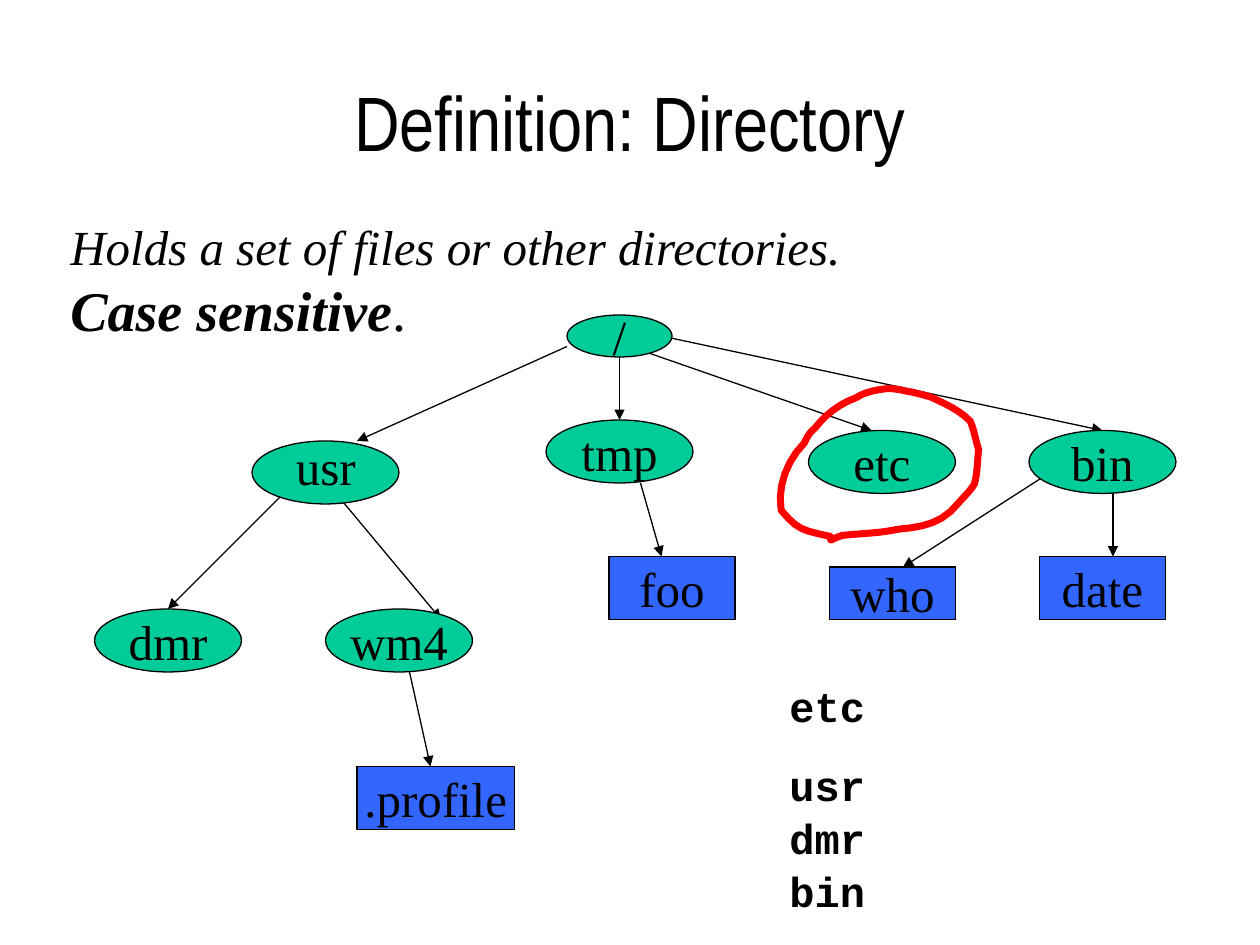
from dataclasses import dataclass
from typing import NamedTuple

from lxml import etree
from pptx import Presentation
from pptx.dml.color import RGBColor
from pptx.enum.shapes import MSO_CONNECTOR, MSO_SHAPE
from pptx.enum.text import MSO_ANCHOR, MSO_AUTO_SIZE, PP_ALIGN
from pptx.oxml.ns import qn
from pptx.util import Emu, Pt

STRAIGHT = MSO_CONNECTOR.STRAIGHT
OVAL, RECTANGLE = MSO_SHAPE.OVAL, MSO_SHAPE.RECTANGLE
TOP, MIDDLE = MSO_ANCHOR.TOP, MSO_ANCHOR.MIDDLE
LEFT, CENTER = PP_ALIGN.LEFT, PP_ALIGN.CENTER
NO_AUTOFIT = MSO_AUTO_SIZE.NONE
PX = 7620
CURVE_STEPS = 6


@dataclass(frozen=True)
class Theme:
    ink: RGBColor = RGBColor(0, 0, 0)
    directory: RGBColor = RGBColor(0x00, 0xCC, 0x99)
    file: RGBColor = RGBColor(0x33, 0x66, 0xFF)
    highlight: RGBColor = RGBColor(0xFF, 0, 0)
    title_font: str = "Arial Narrow"
    text_font: str = "Times New Roman"
    code_font: str = "Courier New"
    title_size: int = 44
    strong_size: int = 32
    text_size: int = 28
    code_size: int = 24
    thin: float = 0.75
    thick: float = 4


class Box(NamedTuple):
    left: int
    top: int
    width: int
    height: int


class Node(NamedTuple):
    label: str
    box: Box
    is_file: bool = False


class Edge(NamedTuple):
    start: tuple[int, int]
    end: tuple[int, int]
    child: str


THEME = Theme()
NODES = [
    Node("/", Box(540, 300, 100, 40)),
    Node("usr", Box(240, 420, 140, 60)),
    Node("tmp", Box(520, 400, 140, 60)),
    Node("etc", Box(770, 410, 140, 60)),
    Node("bin", Box(980, 410, 140, 60)),
    Node("dmr", Box(90, 580, 140, 60)),
    Node("wm4", Box(310, 580, 140, 60)),
    Node("foo", Box(580, 530, 120, 60), True),
    Node("who", Box(790, 540, 120, 50), True),
    Node("date", Box(990, 530, 120, 60), True),
    Node(".profile", Box(340, 730, 150, 60), True),
]
EDGES = [
    Edge((1000, 450), (860, 540), "who"),
    Edge((1060, 460), (1060, 530), "date"),
    Edge((600, 330), (830, 410), "etc"),
    Edge((630, 320), (1050, 410), "bin"),
    Edge((270, 470), (160, 580), "dmr"),
    Edge((320, 470), (420, 590), "wm4"),
    Edge((540, 330), (340, 420), "usr"),
    Edge((590, 340), (590, 400), "tmp"),
    Edge((610, 460), (630, 530), "foo"),
    Edge((390, 640), (410, 730), ".profile"),
]
LOOP_START = (791, 511)
LOOP_CURVES = [
    ((764, 505), (760, 505), (744, 486)),
    ((740, 463), (750, 438), (766, 422)),
    ((769, 416), (770, 413), (776, 408)),
    ((785, 396), (800, 384), (815, 379)),
    ((824, 373), (836, 371), (847, 370)),
    ((866, 372), (853, 371), (866, 373)),
    ((872, 374), (886, 378), (886, 378)),
    ((899, 384), (913, 390), (924, 401)),
    ((928, 410), (929, 419), (932, 428)),
    ((931, 438), (931, 451), (928, 461)),
    ((924, 468), (918, 473), (913, 479)),
    ((898, 498), (880, 502), (856, 504)),
    ((838, 508), (820, 508), (802, 510)),
    ((790, 514), (791, 517), (791, 511)),
]


def place(shape, box: Box) -> None:
    """Move and size a shape in px."""
    shape.left, shape.top, shape.width, shape.height = (Emu(v * PX) for v in box)


def write(paragraph, text: str, *, size=THEME.text_size, font=THEME.text_font,
          bold=False, italic=False, align=LEFT, before=0, line=1.0) -> None:
    """Append a formatted run to a paragraph."""
    paragraph.alignment = align
    paragraph.space_before = Pt(before)
    paragraph.line_spacing = line
    run = paragraph.add_run()
    run.text = text
    run.font.size, run.font.name = Pt(size), font
    run.font.bold, run.font.italic = bold, italic
    run.font.color.rgb = THEME.ink


def set_frame(shape, anchor=TOP, wrap=True):
    """Fix the text frame's behaviour and return it."""
    frame = shape.text_frame
    frame.auto_size, frame.word_wrap = NO_AUTOFIT, wrap
    frame.vertical_anchor = anchor
    return frame


def draw_edge(slide, edge: Edge):
    """Draw an arrow from a directory to its child."""
    ends = (Emu(v * PX) for v in edge.start + edge.end)
    arrow = slide.shapes.add_connector(STRAIGHT, *ends)
    arrow.line.color.rgb, arrow.line.width = THEME.ink, Pt(THEME.thin)
    etree.SubElement(arrow.line._get_or_add_ln(), qn("a:tailEnd"), type="triangle")
    etree.SubElement(arrow._element.spPr, qn("a:effectLst"))
    return arrow


def draw_node(slide, node: Node):
    """Draw a directory as an ellipse or a file as a rectangle."""
    kind, colour = (RECTANGLE, THEME.file) if node.is_file else (OVAL, THEME.directory)
    shape = slide.shapes.add_shape(kind, *(Emu(v * PX) for v in node.box))
    shape.shadow.inherit = False
    shape.fill.solid()
    shape.fill.fore_color.rgb = colour
    shape.line.color.rgb, shape.line.width = THEME.ink, Pt(THEME.thin)
    if node.label != "usr":
        frame = set_frame(shape, MIDDLE, wrap=False)
        write(frame.paragraphs[0], node.label, align=CENTER)
    return shape


def draw_tree(slide) -> None:
    """Draw arrows behind nodes and join those that meet a node's top centre."""
    arrows = {edge.child: (edge, draw_edge(slide, edge)) for edge in EDGES}
    for node in NODES:
        shape = draw_node(slide, node)
        if node.label in arrows:
            edge, arrow = arrows[node.label]
            if edge.end == (node.box.left + node.box.width // 2, node.box.top):
                arrow.end_connect(shape, 0)


def draw_loop(slide) -> None:
    """Circle the etc directory with a hand-drawn line."""
    points, start = [], LOOP_START
    for first, second, end in LOOP_CURVES:
        for step in range(1, CURVE_STEPS + 1):
            t = step / CURVE_STEPS
            weights = ((1 - t) ** 3, 3 * t * (1 - t) ** 2, 3 * t * t * (1 - t), t ** 3)
            corners = (start, first, second, end)
            points.append(tuple(
                sum(w * c[axis] for w, c in zip(weights, corners)) * PX
                for axis in (0, 1)))
        start = end
    builder = slide.shapes.build_freeform(*(v * PX for v in LOOP_START))
    builder.add_line_segments(points, close=True)
    loop = builder.convert_to_shape()
    loop.shadow.inherit = False
    loop.fill.background()
    loop.line.color.rgb, loop.line.width = THEME.highlight, Pt(THEME.thick)


def draw_text(slide) -> None:
    """Fill the title and definition, and add the free labels."""
    title, definition = slide.placeholders
    place(title, Box(90, 40, 1020, 150))
    write(set_frame(title, MIDDLE).paragraphs[0], "Definition: Directory",
          size=THEME.title_size, font=THEME.title_font, align=CENTER)

    place(definition, Box(10, 200, 1080, 170))
    frame = set_frame(definition)
    holds, case = frame.paragraphs[0], frame.add_paragraph()
    for paragraph in (holds, case):
        properties = paragraph._p.get_or_add_pPr()
        properties.set("marL", str(45 * PX))
        properties.set("indent", "0")
        etree.SubElement(properties, qn("a:buNone"))
    write(holds, "Holds a set of files or other directories.", italic=True)
    write(case, "Case sensitive", size=THEME.strong_size, bold=True, italic=True)
    write(case, ".", size=THEME.strong_size)

    usr = slide.shapes.add_textbox(*(Emu(v * PX) for v in Box(270, 410, 90, 68)))
    write(set_frame(usr).paragraphs[0], "usr")

    listing = slide.shapes.add_textbox(*(Emu(v * PX) for v in Box(740, 640, 440, 229)))
    frame = set_frame(listing)
    for row, name in enumerate(("etc", "usr", "dmr", "bin")):
        paragraph = frame.add_paragraph() if row else frame.paragraphs[0]
        write(paragraph, name, size=THEME.code_size, font=THEME.code_font,
              bold=True, before=15 if row == 1 else 0, line=1.05)


def main() -> None:
    """Build the directory definition slide."""
    deck = Presentation()
    deck.slide_width, deck.slide_height = Emu(1200 * PX), Emu(900 * PX)
    slide = deck.slides.add_slide(deck.slide_layouts[1])
    draw_tree(slide)
    draw_text(slide)
    draw_loop(slide)
    deck.save("out.pptx")


if __name__ == "__main__":
    main()
